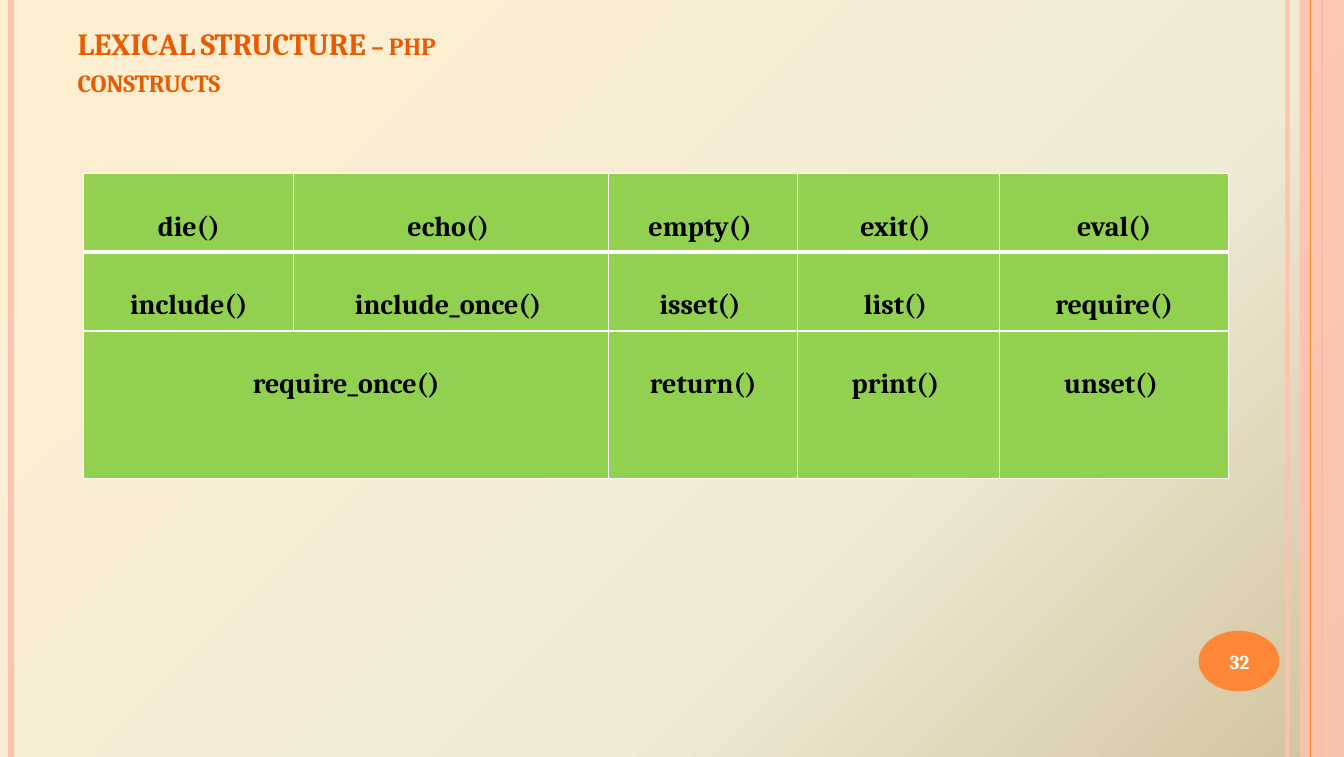
import pptx
import pptx.dml.color
import pptx.enum.shapes
import pptx.enum.text
import pptx.oxml
import pptx.oxml.ns
import pptx.util
from pptx.util import Inches

SLIDE_WIDTH, SLIDE_HEIGHT = 13.31, 7.5
FONT = "Cambria"
ORANGE, PINK, WHITE = "FE8637", "FEC3AE", "FFFFFF"
BACKGROUND_STOPS = [(0, "FFEFD1"), (65, "F0EBD5"), (100, "D1C39F")]
BACKGROUND_ANGLE = 45

TITLE = "LEXICAL STRUCTURE – php\vconstructs"
PAGE_NUMBER = "32"
CONSTRUCTS = [
    ["die()", "echo() ", "empty() ", "exit() ", "eval()"],
    ["include()", "include_once() ", "isset() ", "list() ", "require()"],
    ["require_once()", None, "return()", "print() ", "unset() "],
]
TABLE_LEFT, TABLE_TOP = 0.83, 1.72
COLUMN_WIDTHS = [2.08, 3.12, 1.87, 2, 2.27]
ROW_HEIGHTS = [0.78, 0.78, 1.46]

# x, colour, width in points, opacity in percent
LEFT_STRIPES = [(12.75, PINK, 3, 93), (0.11, PINK, 4.5, 100), (13.09, ORANGE, 1.5, 100)]
RIGHT_STRIPE = (12.98, ORANGE, 0.75, 100)

CENTER = pptx.enum.text.PP_ALIGN.CENTER
MIDDLE = pptx.enum.text.MSO_ANCHOR.MIDDLE
BOTTOM = pptx.enum.text.MSO_ANCHOR.BOTTOM


def color(hex_value):
    return pptx.dml.color.RGBColor.from_string(hex_value)


def set_opacity(shape, percent):
    for color_element in shape._element.spPr.iter(pptx.oxml.ns.qn("a:srgbClr")):
        alpha = pptx.oxml.parse_xml(
            f'<a:alpha {pptx.oxml.ns.nsdecls("a")} val="{percent * 1000}"/>')
        color_element.append(alpha)


def set_background(slide):
    fill = slide.background.fill
    fill.gradient()
    fill.gradient_angle = 360 - BACKGROUND_ANGLE
    stops = "".join(
        f'<a:gs pos="{position * 1000}"><a:srgbClr val="{value}"/></a:gs>'
        for position, value in BACKGROUND_STOPS)
    new_list = pptx.oxml.parse_xml(
        f'<a:gsLst {pptx.oxml.ns.nsdecls("a")}>{stops}</a:gsLst>')
    old_list = next(slide._element.iter(pptx.oxml.ns.qn("a:gsLst")))
    old_list.getparent().replace(old_list, new_list)


def add_stripe(slide, x, hex_value, width, opacity):
    stripe = slide.shapes.add_connector(
        pptx.enum.shapes.MSO_CONNECTOR.STRAIGHT,
        Inches(x), Inches(0), Inches(x), Inches(SLIDE_HEIGHT))
    stripe.line.color.rgb = color(hex_value)
    stripe.line.width = pptx.util.Pt(width)
    if opacity < 100:
        set_opacity(stripe, opacity)
    stripe._element.spPr.append(
        pptx.oxml.parse_xml(f'<a:effectLst {pptx.oxml.ns.nsdecls("a")}/>'))


def add_plain_shape(slide, kind, box, hex_value):
    shape = slide.shapes.add_shape(kind, *map(Inches, box))
    shape.fill.solid()
    shape.fill.fore_color.rgb = color(hex_value)
    shape.line.fill.background()
    shape.shadow.inherit = False
    return shape


def style_paragraph(paragraph, size, hex_value):
    paragraph.font.name = FONT
    paragraph.font.size = pptx.util.Pt(size)
    paragraph.font.bold = True
    paragraph.font.color.rgb = color(hex_value)


def add_text(slide, box, text, size, hex_value, anchor):
    frame = slide.shapes.add_textbox(*map(Inches, box)).text_frame
    frame.word_wrap = True
    frame.vertical_anchor = anchor
    paragraph = frame.paragraphs[0]
    paragraph.text = text
    style_paragraph(paragraph, size, hex_value)
    return paragraph


def set_borders(cell, top, bottom):
    """Draw white borders; top and bottom widths are in points."""
    properties = cell._tc.get_or_add_tcPr()
    for side, width in [("L", 1), ("R", 1), ("T", top), ("B", bottom)]:
        properties.append(pptx.oxml.parse_xml(
            f'<a:ln{side} {pptx.oxml.ns.nsdecls("a")} w="{pptx.util.Pt(width)}">'
            f'<a:solidFill><a:srgbClr val="{WHITE}"/></a:solidFill></a:ln{side}>'))


def add_construct_table(slide):
    table = slide.shapes.add_table(
        len(ROW_HEIGHTS), len(COLUMN_WIDTHS), Inches(TABLE_LEFT), Inches(TABLE_TOP),
        Inches(sum(COLUMN_WIDTHS)), Inches(sum(ROW_HEIGHTS))).table
    for column, width in zip(table.columns, COLUMN_WIDTHS):
        column.width = Inches(width)
    for row, height in zip(table.rows, ROW_HEIGHTS):
        row.height = Inches(height)
    table.cell(2, 0).merge(table.cell(2, 1))
    for row_index, names in enumerate(CONSTRUCTS):
        for column_index, name in enumerate(names):
            cell = table.cell(row_index, column_index)
            set_borders(cell, top=3 if row_index == 1 else 1,
                        bottom=3 if row_index == 0 else 1)
            cell.fill.solid()
            cell.fill.fore_color.rgb = color("92D050")
            cell.margin_left = cell.margin_right = Inches(0.13)
            cell.margin_top = cell.margin_bottom = Inches(0.05)
            if name:
                paragraph = cell.text_frame.paragraphs[0]
                paragraph.text = name
                paragraph.alignment = CENTER
                paragraph.line_spacing = 2.0
                style_paragraph(paragraph, 20, "000000")


def main():
    presentation = pptx.Presentation()
    presentation.slide_width = Inches(SLIDE_WIDTH)
    presentation.slide_height = Inches(SLIDE_HEIGHT)
    slide = presentation.slides.add_slide(presentation.slide_layouts[6])
    set_background(slide)

    shape_kinds = pptx.enum.shapes.MSO_SHAPE
    for stripe in LEFT_STRIPES:
        add_stripe(slide, *stripe)
    band = add_plain_shape(
        slide, shape_kinds.RECTANGLE, (12.87, 0, 0.44, SLIDE_HEIGHT), PINK)
    set_opacity(band, 87)
    add_stripe(slide, *RIGHT_STRIPE)
    add_plain_shape(slide, shape_kinds.OVAL, (11.87, 6.25, 0.8, 0.6), ORANGE)

    title = add_text(slide, (0.67, 0.16, 8.8, 0.87), TITLE, 22, "E75C01", BOTTOM)
    title._p.get_or_add_pPr().get_or_add_defRPr().set("cap", "small")
    add_construct_table(slide)
    number = add_text(
        slide, (11.83, 6.27, 0.89, 0.57), PAGE_NUMBER, 14, WHITE, MIDDLE)
    number.alignment = CENTER
    presentation.save("out.pptx")


if __name__ == "__main__":
    main()
